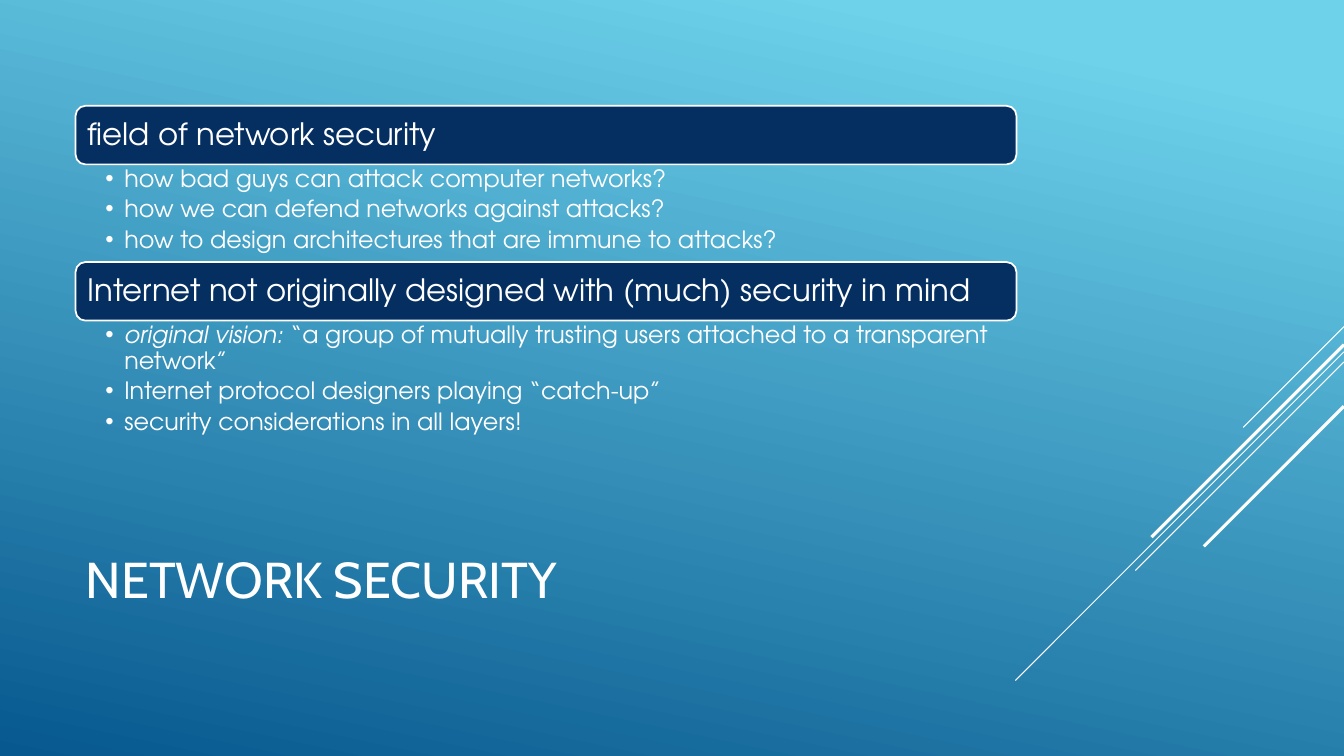
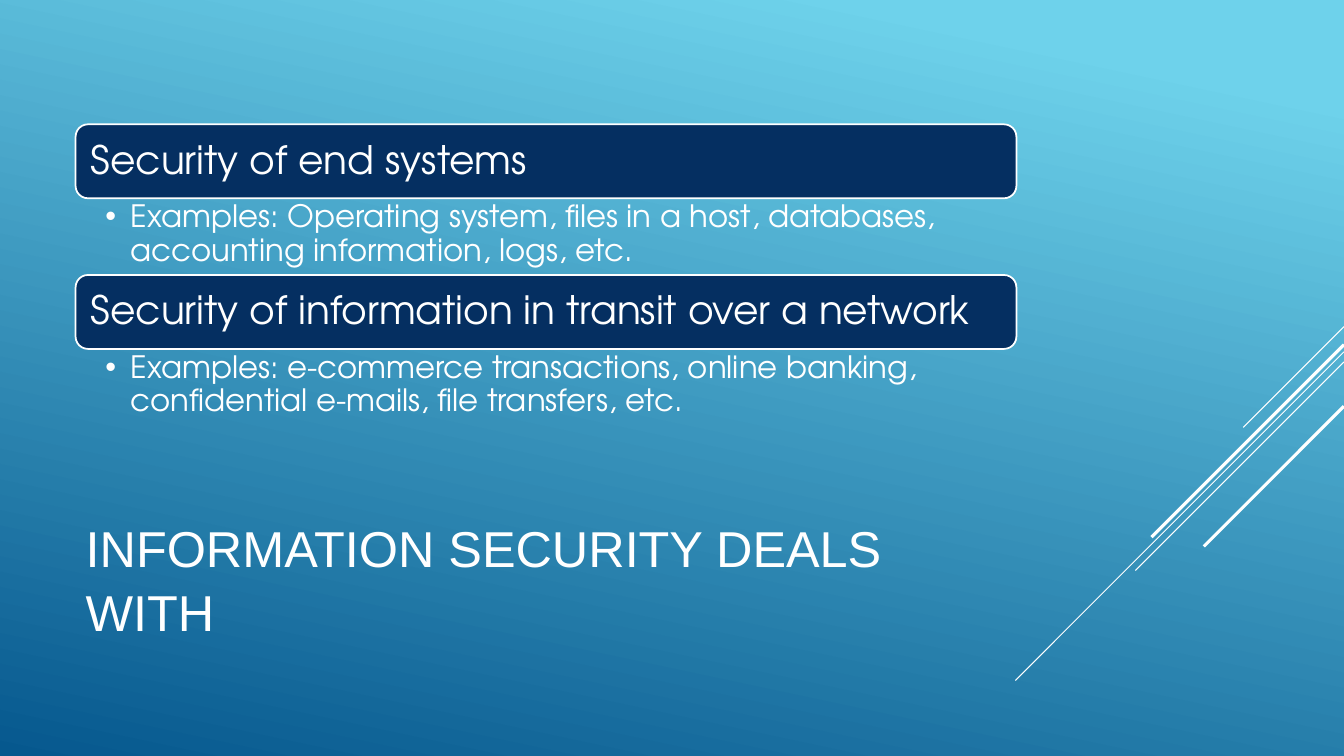
from lxml import etree
from pptx import Presentation
from pptx.dml.color import RGBColor
from pptx.enum import shapes, text
from pptx.oxml.ns import qn
from pptx.util import Pt

COLORS = {"sky": "6ED2EB", "deep": "06588E", "navy": "052F61", "white": "FFFFFF"}
BODY_FONT = "TeX Gyre Adventor"
WIDTH, HEIGHT = 960, 540
LEFT, CONTENT_WIDTH = 54, 672
TITLE_TOP, TITLE_HEIGHT = 353.5, 118.8
LIST_INSET = 21.3

# Diagonals leave the right edge at 45 degrees: (top, run, weight)
DIAGONALS = [
    (233.3, 72, 0.75),
    (251.3, 234.7, 0.75),
    (258.5, 149, 0.75),
    (246.2, 137.5, 2.25),
    (290.2, 100.1, 2.25),
]

# Each section is (heading, list height, bullets); each bullet is (italic lead, rest)
SLIDES = [
    {
        "title": "NETWORK SECURITY", "title_font": "Cabin", "title_spacing": 1.0,
        "top": 75.6, "bar": 41.8, "heading_size": 22, "bullet_size": 17, "indent": 13.5,
        "sections": [
            ("field of network security", 69.8, [
                ("", "how bad guys can attack computer networks?"),
                ("", "how we can defend networks against attacks?"),
                ("", "how to design architectures that are immune to attacks?"),
            ]),
            ("Internet not originally designed with (much) security in mind", 87.8, [
                ("original vision:", " “a group of mutually trusting users attached "
                                     "to a transparent network”"),
                ("", "Internet protocol designers playing “catch-up”"),
                ("", "security considerations in all layers!"),
            ]),
        ],
    },
    {
        "title": "INFORMATION SECURITY DEALS WITH", "title_font": "Arial", "title_spacing": 1.05,
        "top": 88.8, "bar": 52.8, "heading_size": 28, "bullet_size": 22, "indent": 18,
        "sections": [
            ("Security of end systems", 54.8, [
                ("", "Examples: Operating system, files in a host, databases, "
                     "accounting information, logs, etc."),
            ]),
            ("Security of information in transit over a network", 54.8, [
                ("", "Examples: e-commerce transactions, online banking, "
                     "confidential e-mails, file transfers, etc."),
            ]),
        ],
    },
]


def color(name):
    return RGBColor.from_string(COLORS[name])


def place(shape, top, height):
    shape.left, shape.top = Pt(LEFT), Pt(top)
    shape.width, shape.height = Pt(CONTENT_WIDTH), Pt(height)


def set_insets(frame, left, top, right, bottom):
    frame.margin_left, frame.margin_top = Pt(left), Pt(top)
    frame.margin_right, frame.margin_bottom = Pt(right), Pt(bottom)


def format_runs(paragraph, font, size):
    for run in paragraph.runs:
        run.font.name, run.font.size = font, Pt(size)
        run.font.color.rgb = color("white")


def style_layout(layout):
    """Set the gradient and the title area, and drop the unused footers."""
    fill = layout.background.fill
    fill.gradient()
    fill.gradient_angle = 258
    for stop, (position, name) in zip(fill.gradient_stops, [(0.1, "sky"), (1, "deep")]):
        stop.position, stop.color.rgb = position, color(name)
    for holder in list(layout.placeholders):
        if holder.placeholder_format.idx >= 10:
            layout.shapes.element.remove(holder.element)
        elif holder.placeholder_format.idx == 0:
            place(holder, TITLE_TOP, TITLE_HEIGHT)
            holder.text_frame.vertical_anchor = text.MSO_ANCHOR.MIDDLE


def add_diagonals(slide, layout):
    """Draw the diagonals on a slide, then move them to the layout all slides share."""
    lines = []
    for top, run, weight in DIAGONALS:
        line = slide.shapes.add_connector(
            shapes.MSO_CONNECTOR.STRAIGHT, Pt(WIDTH), Pt(top), Pt(WIDTH - run), Pt(top + run))
        line.line.color.rgb, line.line.width = color("white"), Pt(weight)
        etree.SubElement(line.element.spPr, qn("a:effectLst"))
        lines.append(line)
    for line in lines:
        layout.shapes.element.append(line.element)


def fill_title(title, content):
    title.text_frame.text = content["title"]
    paragraph = title.text_frame.paragraphs[0]
    paragraph.alignment = text.PP_ALIGN.LEFT
    paragraph.line_spacing = content["title_spacing"]
    format_runs(paragraph, content["title_font"], 36)


def add_heading_bar(slide, heading, top, height, size):
    bar = slide.shapes.add_shape(
        shapes.MSO_SHAPE.ROUNDED_RECTANGLE, Pt(LEFT), Pt(top), Pt(CONTENT_WIDTH), Pt(height))
    bar.shadow.inherit = False
    bar.fill.solid()
    bar.fill.fore_color.rgb = color("navy")
    bar.line.color.rgb, bar.line.width = color("white"), Pt(1.25)
    frame = bar.text_frame
    frame.word_wrap, frame.vertical_anchor = True, text.MSO_ANCHOR.MIDDLE
    set_insets(frame, *[0.3 * size] * 4)
    frame.text = heading
    paragraph = frame.paragraphs[0]
    paragraph.alignment, paragraph.line_spacing = text.PP_ALIGN.LEFT, 0.9
    format_runs(paragraph, BODY_FONT, size)


def fill_list(holder, bullets, size, indent):
    frame = holder.text_frame
    frame.auto_size = text.MSO_AUTO_SIZE.NONE
    set_insets(frame, LIST_INSET, 0.1 * size, 0.72 * size, 0.1 * size)
    for index, (lead, rest) in enumerate(bullets):
        paragraph = frame.add_paragraph() if index else frame.paragraphs[0]
        paragraph.level = 1
        properties = paragraph._p.get_or_add_pPr()
        properties.set("marL", str(Pt(indent)))
        properties.set("indent", str(-Pt(indent)))
        etree.SubElement(properties, qn("a:buChar"), char="•")
        paragraph.line_spacing = 0.9
        paragraph.space_before, paragraph.space_after = Pt(0), Pt(0.2 * size)
        if lead:
            paragraph.text = lead
            paragraph.runs[0].font.italic = True
        paragraph.add_run().text = rest
        format_runs(paragraph, BODY_FONT, size)


def build_slide(slide, content):
    fill_title(slide.shapes.title, content)
    top, bar = content["top"], content["bar"]
    for index, (heading, list_height, bullets) in enumerate(content["sections"], start=1):
        add_heading_bar(slide, heading, top, bar, content["heading_size"])
        holder = slide.placeholders[index]
        place(holder, top + bar, list_height)
        fill_list(holder, bullets, content["bullet_size"], content["indent"])
        top += bar + list_height


def main():
    deck = Presentation()
    deck.slide_width, deck.slide_height = Pt(WIDTH), Pt(HEIGHT)
    layout = deck.slide_layouts.get_by_name("Two Content")
    style_layout(layout)
    slides = [deck.slides.add_slide(layout) for _ in SLIDES]
    add_diagonals(slides[0], layout)
    for slide, content in zip(slides, SLIDES):
        build_slide(slide, content)
    deck.save("out.pptx")


if __name__ == "__main__":
    main()
